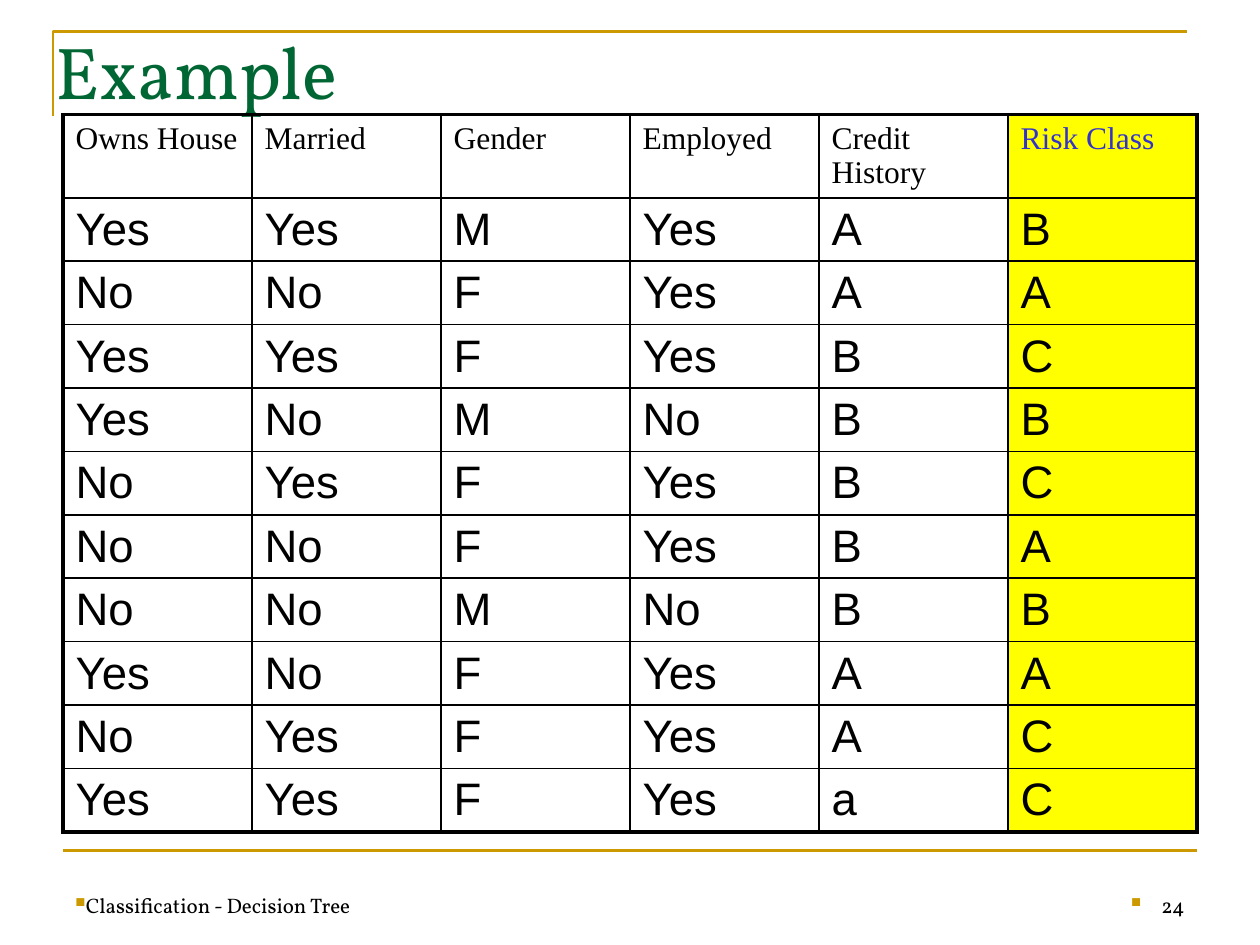
from dataclasses import dataclass

from lxml import etree
from pptx import Presentation, util as u
from pptx.dml.color import RGBColor
from pptx.enum import shapes, text
from pptx.oxml.ns import qn


@dataclass(frozen=True)
class Theme:
    """Colours, fonts and type sizes of the slide."""
    ink: str = "000000"
    gold: str = "CC9900"
    green: str = "006633"
    blue: str = "3333CC"
    yellow: str = "FFFF00"
    display: str = "Vollkorn"
    header: str = "Times New Roman"
    body: str = "Arial"
    title_size: int = 42
    header_size: int = 18
    body_size: int = 26
    footer_size: int = 12
    rule: float = 1.5
    inner: float = 1
    outer: float = 2.25


THEME = Theme()
HEADINGS = ["Owns House", "Married", "Gender", "Employed", "Credit History", "Risk Class"]
APPLICANTS = [line.split() for line in (
    "Yes Yes M Yes A B",
    "No No F Yes A A",
    "Yes Yes F Yes B C",
    "Yes No M No B B",
    "No Yes F Yes B C",
    "No No F Yes B A",
    "No No M No B B",
    "Yes No F Yes A A",
    "No Yes F Yes A C",
    "Yes Yes F Yes a C",
)]


def add_run(paragraph, words, size, font, color):
    """Add one styled run to a paragraph."""
    run = paragraph.add_run()
    run.text = words
    run.font.size = u.Pt(size)
    run.font.name = font
    run.font.color.rgb = RGBColor.from_string(color)


def add_label(slide, box, words, size, color, anchor, align=text.PP_ALIGN.LEFT):
    """Place a one-line text box and return its paragraph."""
    frame = slide.shapes.add_textbox(*map(u.Inches, box)).text_frame
    frame.word_wrap = True
    frame.vertical_anchor = anchor
    paragraph = frame.paragraphs[0]
    paragraph.alignment = align
    add_run(paragraph, words, size, THEME.display, color)
    return paragraph


def add_bullet(paragraph, hang):
    """Give a paragraph a small gold square bullet."""
    props = paragraph._p.get_or_add_pPr()
    props.set("marL", str(u.Inches(hang)))
    props.set("indent", str(-u.Inches(hang)))
    color = etree.SubElement(props, qn("a:buClr"))
    etree.SubElement(color, qn("a:srgbClr"), val=THEME.gold)
    etree.SubElement(props, qn("a:buSzPct"), val="65000")
    etree.SubElement(props, qn("a:buFont"), typeface="Wingdings", charset="2")
    etree.SubElement(props, qn("a:buChar"), char="n")


def style_rule(line):
    """Apply the gold rule style to a line."""
    line.color.rgb = RGBColor.from_string(THEME.gold)
    line.width = u.Pt(THEME.rule)


def add_heading(slide, left, top, width, height):
    """Draw the corner rule and the title inside it."""
    builder = slide.shapes.build_freeform(u.Inches(left), u.Inches(top + height))
    builder.add_line_segments(
        [(u.Inches(left), u.Inches(top)), (u.Inches(left + width), u.Inches(top))], close=False)
    corner = builder.convert_to_shape()
    corner.shadow.inherit = False
    corner.fill.background()
    style_rule(corner.line)
    add_label(slide, (left - 0.08, top - 0.09, width, 0.78), "Example",
              THEME.title_size, THEME.green, text.MSO_ANCHOR.TOP)


def set_borders(cell, widths):
    """Set the left, right, top and bottom borders of a cell."""
    props = cell._tc.get_or_add_tcPr()
    for index, (side, width) in enumerate(zip(("lnL", "lnR", "lnT", "lnB"), widths)):
        line = etree.Element(qn("a:" + side), w=str(u.Pt(width)))
        fill = etree.SubElement(line, qn("a:solidFill"))
        etree.SubElement(fill, qn("a:srgbClr"), val=THEME.ink)
        props.insert(index, line)


def fill_cell(cell, highlighted):
    """Paint a highlighted cell and leave any other one clear."""
    if highlighted:
        cell.fill.solid()
        cell.fill.fore_color.rgb = RGBColor.from_string(THEME.yellow)
    else:
        cell.fill.background()


def add_risk_table(slide, left, top, width, header_height, row_height):
    """Build the applicant table with its highlighted risk column."""
    records = [HEADINGS] + APPLICANTS
    last_row, last_col = len(records) - 1, len(HEADINGS) - 1
    height = header_height + row_height * last_row
    table = slide.shapes.add_table(
        last_row + 1, last_col + 1, *map(u.Inches, (left, top, width, height))).table
    table.first_row = table.horz_banding = False
    for column in table.columns:
        column.width = u.Inches(width / len(HEADINGS))
    for r, record in enumerate(records):
        table.rows[r].height = u.Inches(row_height if r else header_height)
        for c, value in enumerate(record):
            cell = table.cell(r, c)
            is_risk = c == last_col
            fill_cell(cell, is_risk)
            cell.margin_bottom = u.Inches(0.02 if r else 0.01)
            edges = (c == 0, is_risk, r == 0, r == last_row)
            set_borders(cell, [THEME.outer if edge else THEME.inner for edge in edges])
            paragraph = cell.text_frame.paragraphs[0]
            spacing = etree.SubElement(paragraph._p.get_or_add_pPr(), qn("a:spcBef"))
            etree.SubElement(spacing, qn("a:spcPct"), val="20000")
            if r == 0:
                color = THEME.blue if is_risk else THEME.ink
                add_run(paragraph, value, THEME.header_size, THEME.header, color)
            else:
                add_run(paragraph, value, THEME.body_size, THEME.body, THEME.ink)


def add_footer(slide, left, top, width):
    """Draw the footer rule, the course name and the page number."""
    rule = slide.shapes.add_connector(
        shapes.MSO_CONNECTOR.STRAIGHT, *map(u.Inches, (left, top, left + width, top)))
    style_rule(rule.line)
    etree.SubElement(rule._element.spPr, qn("a:effectLst"))
    label_top, label_height, page_width = top + 0.08, 0.5, 2.33
    course = add_label(slide, (left, label_top, 6.08, label_height),
                       "Classification - Decision Tree", THEME.footer_size, THEME.ink,
                       text.MSO_ANCHOR.BOTTOM)
    add_bullet(course, 0)
    page = add_label(slide, (left + width - page_width, label_top, page_width, label_height),
                     "24", THEME.footer_size, THEME.ink, text.MSO_ANCHOR.BOTTOM,
                     text.PP_ALIGN.RIGHT)
    add_bullet(page, 0.24)


def main():
    """Build and save the slide."""
    deck = Presentation()
    deck.slide_width, deck.slide_height = u.Inches(10), u.Inches(7.5)
    slide = deck.slides.add_slide(deck.slide_layouts[6])
    add_heading(slide, 0.42, 0.25, 9, 0.67)
    add_footer(slide, 0.5, 6.75, 9)
    add_risk_table(slide, 0.5, 0.91, 9, 0.65, 0.5)
    deck.save("out.pptx")


main()
